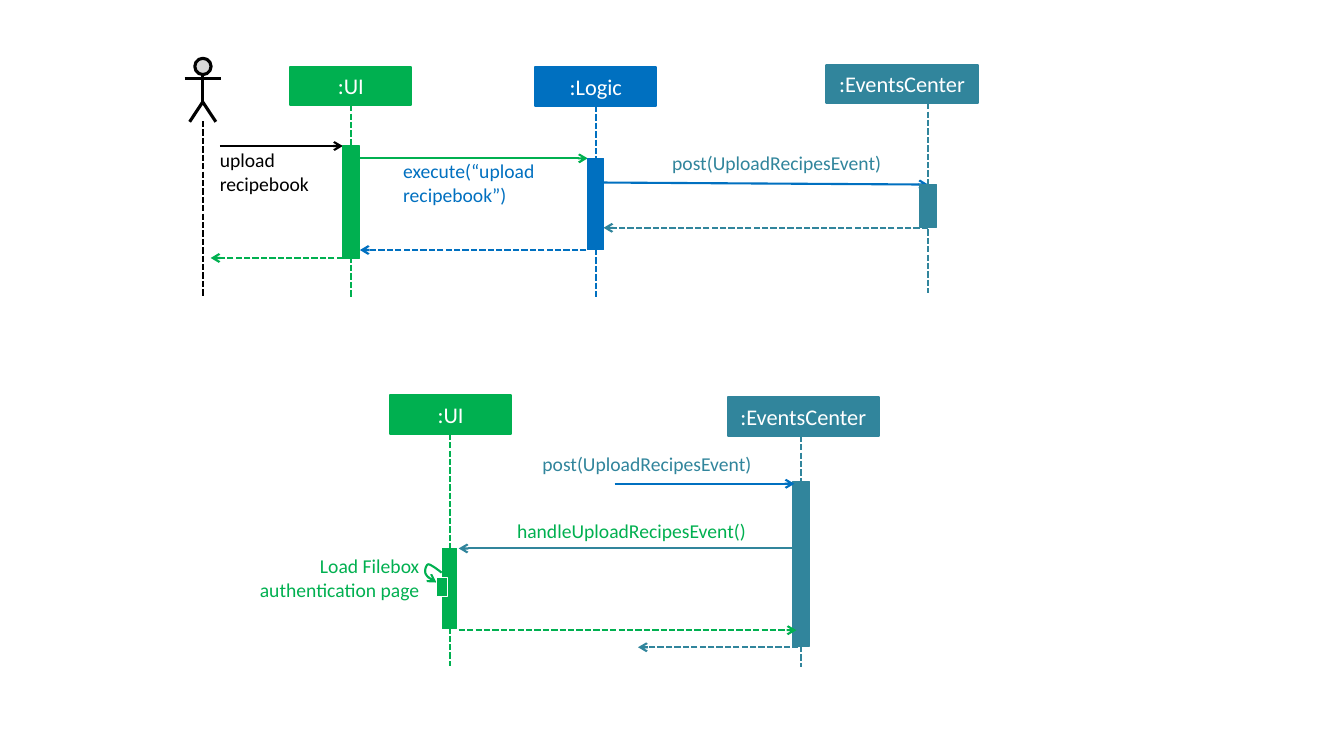
"""Build a slide with two sequence diagrams for the recipe upload."""
from lxml.etree import SubElement
from pptx import Presentation
from pptx.dml.color import RGBColor
from pptx.enum.dml import MSO_LINE
from pptx.enum.shapes import MSO_CONNECTOR, MSO_SHAPE
from pptx.enum.text import MSO_ANCHOR, PP_ALIGN
from pptx.oxml.ns import qn
from pptx.util import Cm, Pt

GREEN, BLUE, TEAL = "00B050", "0070C0", "31859C"
BLACK, WHITE, GREY = "000000", "FFFFFF", "D9D9D9"
HEADER_HEIGHT = 0.97

# name, colour, header (left, top, width), lifeline (x, bottom), activation (top, width, height)
PARTICIPANTS = [
    (":UI", GREEN, (7.32, 1.68, 3.05), (8.84, 7.49), (3.68, 0.43, 2.84)),
    (":Logic", BLUE, (13.49, 1.7, 3.05), (15.01, 7.49), (3.99, 0.41, 2.31)),
    (":EventsCenter", TEAL, (20.83, 1.63, 3.81), (23.39, 7.39), (4.65, 0.41, 1.09)),
    (":EventsCenter", TEAL, (18.34, 10.01, 3.81), (20.19, 16.81), (12.14, 0.41, 4.14)),
    (":UI", GREEN, (9.83, 9.96, 3.05), (11.33, 16.79), (13.82, 0.36, 2.03)),
]
UPPER_MESSAGES = [
    ((5.54, 3.68), (8.64, 3.68), BLACK, False),
    ((9.07, 3.99), (14.81, 3.99), GREEN, False),
    ((15.14, 4.6), (23.39, 4.65), BLUE, False),
    ((23.39, 5.74), (15.21, 5.74), TEAL, True),
    ((14.78, 6.3), (9.07, 6.3), BLUE, True),
    ((8.64, 6.5), (5.31, 6.5), GREEN, True),
]
LOWER_MESSAGES = [
    ((15.49, 12.19), (20.02, 12.19), BLUE, False),
    ((20.07, 13.82), (11.56, 13.82), TEAL, False),
    ((11.56, 15.88), (20.07, 15.88), GREEN, True),
    ((20.12, 16.31), (16.08, 16.31), TEAL, True),
]
LABELS = [
    ("upload recipebook", (5.54, 3.73, 2.39, 1.19), BLACK, PP_ALIGN.LEFT),
    ("execute(“upload recipebook”)", (10.16, 4.01, 4.01, 1.19), BLUE, PP_ALIGN.LEFT),
    ("post(UploadRecipesEvent)", (16.94, 3.81, 5.61, 0.61), TEAL, PP_ALIGN.LEFT),
    ("post(UploadRecipesEvent)", (13.67, 11.4, 6.07, 0.61), TEAL, PP_ALIGN.LEFT),
    ("handleUploadRecipesEvent()", (13.03, 13.08, 6.12, 0.61), GREEN, PP_ALIGN.LEFT),
    ("Load Filebox authentication page", (5.72, 13.97, 4.85, 1.19), GREEN, PP_ALIGN.RIGHT),
]
ACTOR_X = 5.11
SELF_CALL_START = (11.13, 14.43)
SELF_CALL_CURVES = [
    [(11.0, 14.33), (10.85, 14.22), (10.79, 14.22)],
    [(10.72, 14.25), (10.69, 14.43), (10.74, 14.48)],
    [(10.77, 14.55), (10.9, 14.63), (11.0, 14.68)],
]


def rgb(colour):
    return RGBColor.from_string(colour)


def style_line(shape, colour, width, dashed=False, arrow=False):
    shape.line.color.rgb = rgb(colour)
    shape.line.width = Pt(width)
    if dashed:
        shape.line.dash_style = MSO_LINE.SQUARE_DOT
    if arrow:
        SubElement(shape.line._get_or_add_ln(), qn("a:tailEnd"), type="arrow")


def add_line(start, end, colour, width=1.5, dashed=False, arrow=False):
    line = page.shapes.add_connector(MSO_CONNECTOR.STRAIGHT, *map(Cm, start + end))
    style_line(line, colour, width, dashed, arrow)
    SubElement(line._element.spPr, qn("a:effectLst"))


def add_block(bounds, fill, line, width, kind=MSO_SHAPE.RECTANGLE):
    block = page.shapes.add_shape(kind, *map(Cm, bounds))
    block.shadow.inherit = False
    block.fill.solid()
    block.fill.fore_color.rgb = rgb(fill)
    style_line(block, line, width)
    return block


def add_outline(points, colour, width, arrow=False):
    start, *rest = [(Cm(x), Cm(y)) for x, y in points]
    builder = page.shapes.build_freeform(*start)
    builder.add_line_segments(rest, close=False)
    outline = builder.convert_to_shape()
    outline.shadow.inherit = False
    outline.fill.background()
    style_line(outline, colour, width, arrow=arrow)


def write(frame, text, size, colour, align):
    frame.word_wrap = True
    para = frame.paragraphs[0]
    para.alignment = align
    span = para.add_run()
    span.text = text
    span.font.name = "Calibri"
    span.font.size = Pt(size)
    span.font.color.rgb = rgb(colour)


def curve_points(start, curves, steps=8):
    points = [start]
    for first, second, end in curves:
        origin = points[-1]
        for step in range(1, steps + 1):
            t = step / steps
            weights = ((1 - t) ** 3, 3 * t * (1 - t) ** 2, 3 * t * t * (1 - t), t ** 3)
            corners = (origin, first, second, end)
            points.append(tuple(sum(w * c[axis] for w, c in zip(weights, corners))
                                for axis in (0, 1)))
    return points


def add_messages(messages):
    for start, end, colour, dashed in messages:
        add_line(start, end, colour, dashed=dashed, arrow=True)


def add_participant(name, colour, header, lifeline, activation):
    left, top, width = header
    x, bottom = lifeline
    start, thickness, length = activation
    box = add_block((left, top, width, HEADER_HEIGHT), colour, colour, 1.5)
    box.text_frame.vertical_anchor = MSO_ANCHOR.MIDDLE
    write(box.text_frame, name, 16, WHITE, PP_ALIGN.CENTER)
    add_line((x, top + HEADER_HEIGHT), (x, bottom), colour, dashed=True)
    add_block((x - thickness / 2, start, thickness, length), colour, colour, 0.75)


def add_actor(x):
    add_block((x - 0.2, 1.47, 0.41, 0.41), GREY, BLACK, 2.25, MSO_SHAPE.FLOWCHART_CONNECTOR)
    add_line((x, 1.88), (x, 2.59), BLACK, 2.25)
    add_line((x - 0.46, 1.98), (x + 0.46, 1.98), BLACK, 2.25)
    add_outline([(x - 0.33, 3.07), (x, 2.57), (x + 0.33, 3.07)], BLACK, 2.25)
    add_line((x, 3.05), (x, 7.49), BLACK, dashed=True)


def add_label(text, bounds, colour, align):
    box = page.shapes.add_textbox(*map(Cm, bounds))
    frame = box.text_frame
    frame.margin_left = frame.margin_right = frame.margin_top = frame.margin_bottom = 0
    write(frame, text, 14, colour, align)


deck = Presentation()
deck.slide_width, deck.slide_height = Cm(33.87), Cm(19.05)
page = deck.slides.add_slide(deck.slide_layouts[6])

add_actor(ACTOR_X)
add_messages(UPPER_MESSAGES)
for participant in PARTICIPANTS:
    add_participant(*participant)
add_messages(LOWER_MESSAGES)
add_outline(curve_points(SELF_CALL_START, SELF_CALL_CURVES), GREEN, 1.5, arrow=True)
add_block((11.0, 14.55, 0.28, 0.48), GREEN, WHITE, 0.75)
for label in LABELS:
    add_label(*label)

deck.save("out.pptx")
